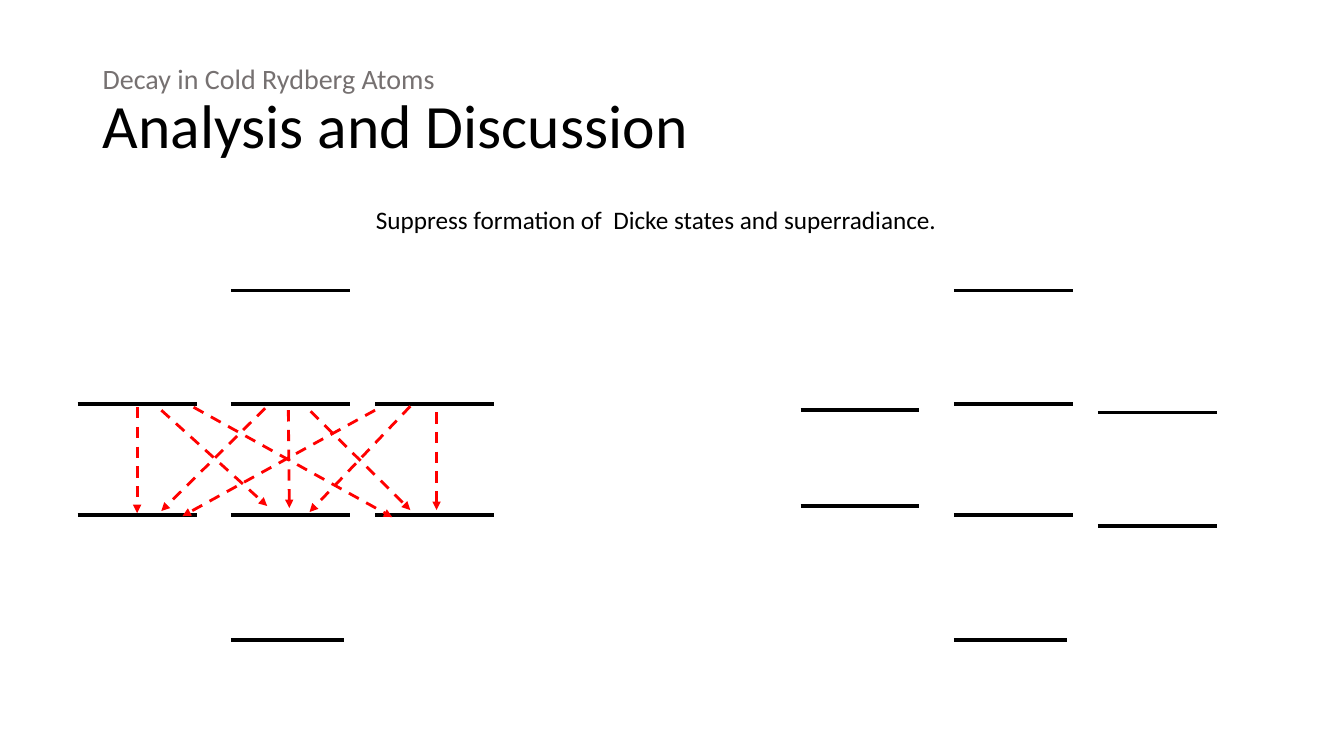
import pptx
import pptx.util
import pptx.dml.color
import pptx.enum.dml
import pptx.enum.shapes
import pptx.enum.text
import pptx.oxml
import pptx.oxml.ns

PX = 9144  # 100 px to the inch
COLORS = {"text": "000000", "kicker": "767171", "level": "000000", "decay": "FF0000"}
FONT = "Calibri"

COLUMNS = (0, 152, 295)
LEVEL_WIDTH = 118
GROUND_WIDTH = 112
UPPER_Y, LOWER_Y, GROUND_Y = 113, 223, 347

# Decay arrows as (x1, y1, x2, y2) from the corner of the level diagram
DECAYS = [
    (59, 116, 59, 221), (83, 119, 188, 214), (115, 116, 312, 225),
    (209, 119, 210, 216), (356, 121, 356, 218), (231, 120, 330, 218),
    (330, 115, 230, 220), (295, 119, 104, 224), (186, 117, 83, 219),
]


def px(*lengths):
    return [pptx.util.Emu(n * PX) for n in lengths]


def rgb(name):
    return pptx.dml.color.RGBColor.from_string(COLORS[name])


def add_text_box(s, box, anchor):
    tf = s.shapes.add_textbox(*px(*box)).text_frame
    tf.word_wrap = True
    tf.vertical_anchor = anchor
    p = tf.paragraphs[0]
    p.font.name = FONT
    return p


def add_run(p, text, size, color):
    r = p.add_run()
    r.text = text
    r.font.size = pptx.util.Pt(size)
    r.font.color.rgb = rgb(color)


def add_line(s, x1, y1, x2, y2, color, width):
    line = s.shapes.add_connector(
        pptx.enum.shapes.MSO_CONNECTOR.STRAIGHT, *px(x1, y1, x2, y2))
    line.line.color.rgb = rgb(color)
    line.line.width = pptx.util.Pt(width)
    pptx.oxml.ns.qn("a:effectLst")
    line._element.spPr.append(pptx.oxml.parse_xml(
        f"<a:effectLst {pptx.oxml.ns.nsdecls('a')}/>"))
    return line


def add_title(s, box):
    p = add_text_box(s, box, pptx.enum.text.MSO_ANCHOR.MIDDLE)
    p.line_spacing = 0.9
    add_run(p, "Decay in Cold Rydberg Atoms", 20, "kicker")
    p.add_line_break()
    add_run(p, "Analysis and Discussion", 44, "text")


def add_statement(s, box):
    p = add_text_box(s, box, pptx.enum.text.MSO_ANCHOR.TOP)
    add_run(p, "Suppress formation of  Dicke states and superradiance.", 18, "text")


def add_levels(s, left, top, upper_shifts=(0, 0, 0), lower_shifts=(0, 0, 0)):
    """Draw the top, two split middle and ground levels; shifts move single sublevels down."""
    levels = [(COLUMNS[1], 0, LEVEL_WIDTH), (COLUMNS[1], GROUND_Y, GROUND_WIDTH)]
    for row_y, shifts in ((UPPER_Y, upper_shifts), (LOWER_Y, lower_shifts)):
        levels += [(x, row_y + dy, LEVEL_WIDTH) for x, dy in zip(COLUMNS, shifts)]
    for x, y, width in levels:
        add_line(s, left + x, top + y, left + x + width, top + y, "level", 2.5)


def add_decays(s, left, top):
    for x1, y1, x2, y2 in DECAYS:
        arrow = add_line(s, left + x1, top + y1, left + x2, top + y2, "decay", 2)
        arrow.line.dash_style = pptx.enum.dml.MSO_LINE.DASH
        arrow.line._get_or_add_ln().append(pptx.oxml.parse_xml(
            f"<a:tailEnd {pptx.oxml.ns.nsdecls('a')} type='triangle'/>"))


def build_slide(prs):
    s = prs.slides.add_slide(prs.slide_layouts[6])
    add_title(s, (92, 40, 1150, 145))
    add_statement(s, (363, 198, 702, 40))
    add_levels(s, 77, 288)
    add_levels(s, 794, 288, upper_shifts=(6, 0, 8), lower_shifts=(-9, 0, 11))
    add_decays(s, 77, 288)


def main():
    prs = pptx.Presentation()
    prs.slide_width, prs.slide_height = px(1333, 750)
    build_slide(prs)
    prs.save("out.pptx")


if __name__ == "__main__":
    main()
